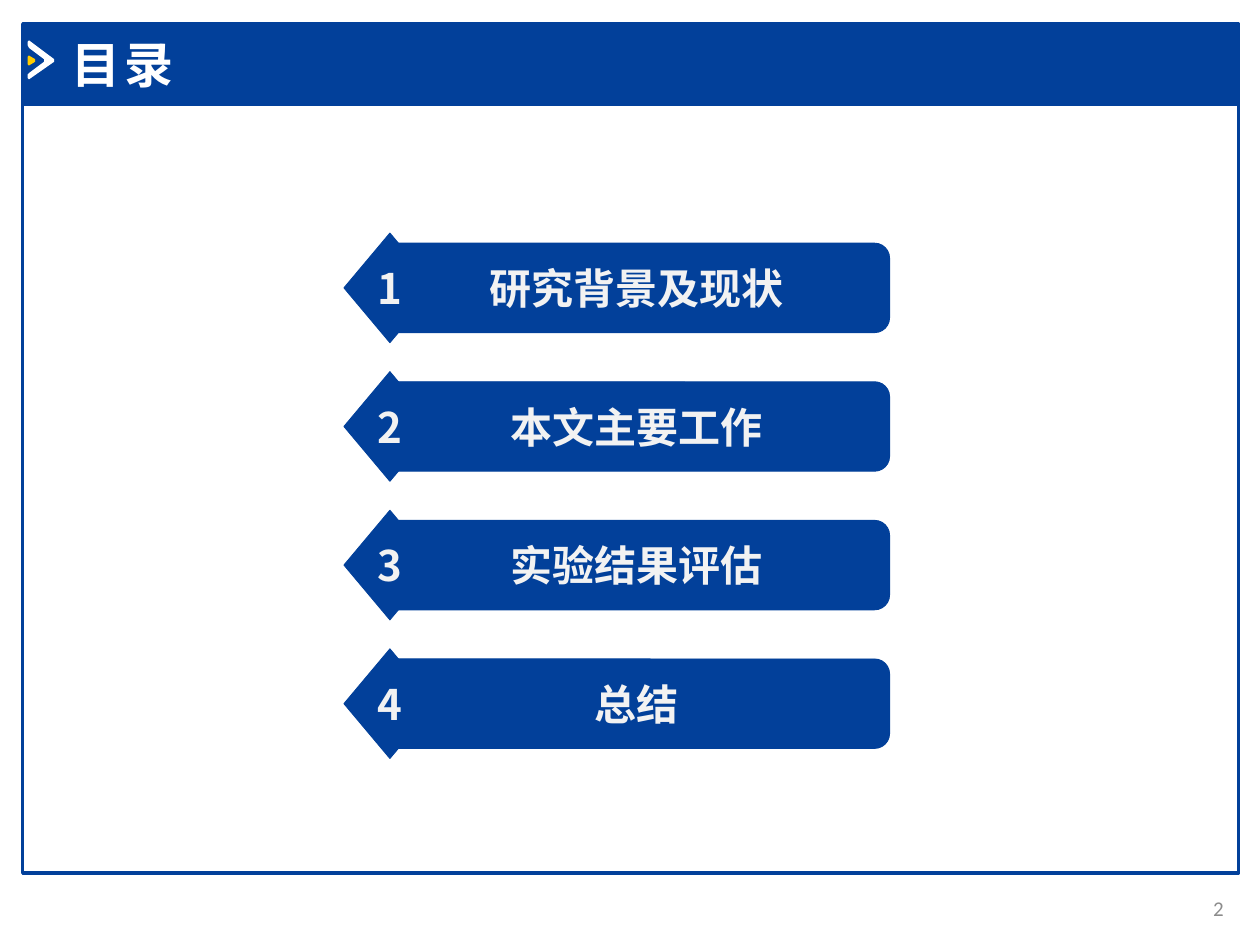
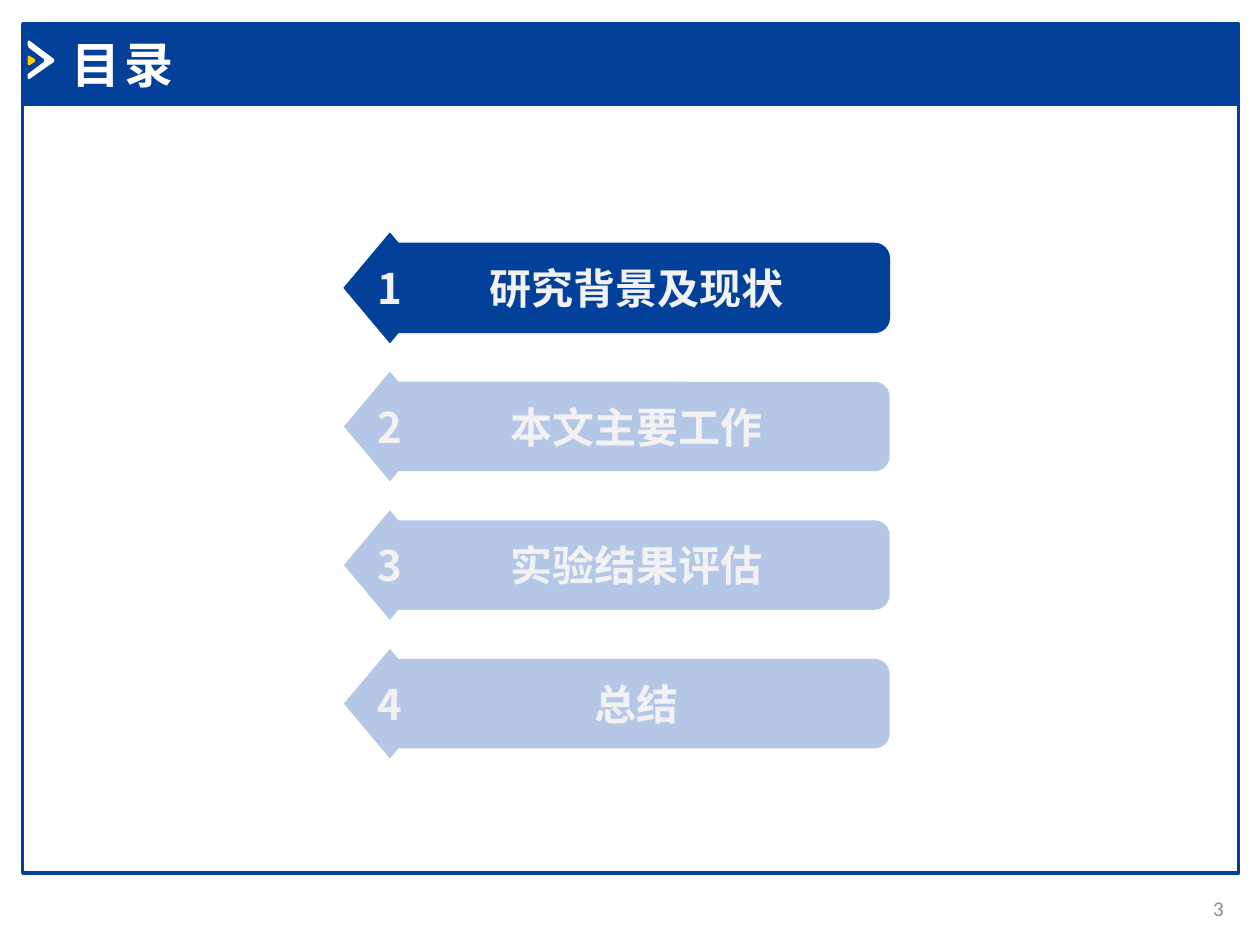
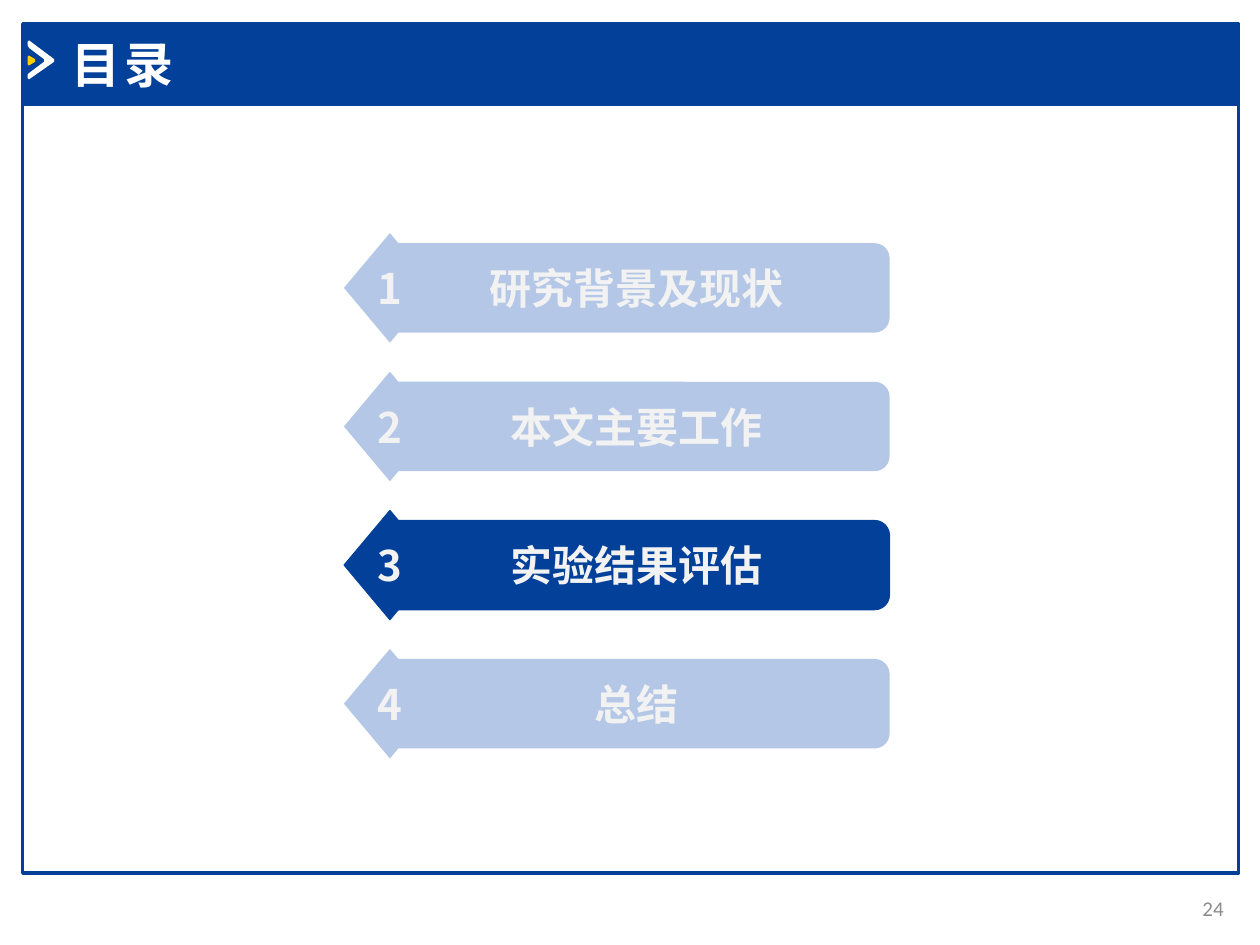
from lxml.etree import SubElement
from pptx import Presentation
from pptx.dml.color import RGBColor
from pptx.enum.shapes import MSO_SHAPE as Shape
from pptx.enum.text import MSO_ANCHOR as Anchor, MSO_AUTO_SIZE as AutoSize, PP_ALIGN as Align
from pptx.oxml.ns import qn
from pptx.util import Inches, Pt

BLUE = RGBColor(0x02, 0x40, 0x9A)
PALE_BLUE = RGBColor(0xB4, 0xC7, 0xE7)
YELLOW = RGBColor(0xFF, 0xCC, 0x00)
WHITE = RGBColor(0xFF, 0xFF, 0xFF)
OFF_WHITE = RGBColor(0xF2, 0xF2, 0xF2)
GREY = RGBColor(0x8C, 0x8C, 0x8C)

LATIN_FONT = "Calibri"
CHINESE_FONT = "Noto Sans CJK SC"

TOPICS = ["研究背景及现状", "本文主要工作", "实验结果评估", "总结"]
AGENDA_PAGES = [("2", {1, 2, 3, 4}), ("3", {1}), ("24", {3})]

CHEVRON = [(0, 1), (1, 0), (21, 15), (21, 17), (1, 31), (0, 30),
           (0, 27), (1, 26), (13, 17), (13, 15), (1, 6), (0, 4)]
CHEVRON_DOT = [(0, 1), (1, 0), (6, 3), (6, 5), (1, 8), (0, 7)]


def paint(shape, fill=None, line=None, width=0.5):
    shape.shadow.inherit = False
    if fill is None:
        shape.fill.background()
    else:
        shape.fill.solid()
        shape.fill.fore_color.rgb = fill
    if line is None:
        shape.line.fill.background()
    else:
        shape.line.color.rgb = line
        shape.line.width = Pt(width)


def write(shape, text, size, color, align, anchor=Anchor.MIDDLE, wrap=True,
          bold=False, font=LATIN_FONT, spacing=None):
    frame = shape.text_frame
    frame.word_wrap = wrap
    frame.vertical_anchor = anchor
    para = frame.paragraphs[0]
    para.alignment = align
    span = para.add_run()
    span.text = text
    span.font.size = Pt(size)
    span.font.bold = bold
    span.font.color.rgb = color
    span.font.name = font
    properties = span.font._element
    SubElement(properties, qn("a:ea")).set("typeface", CHINESE_FONT)
    if spacing:
        properties.set("spc", str(spacing * 100))


def add_outline(shapes, points, left, top, color):
    builder = shapes.build_freeform(*points[0], scale=Inches(0.01))
    builder.add_line_segments(points[1:], close=True)
    paint(builder.convert_to_shape(Inches(left), Inches(top)), color)


def add_frame(page, left, top, width, band_height, body_height):
    group = page.shapes.add_group_shape()
    for offset, height, fill in ((band_height, body_height, None), (0, band_height, BLUE)):
        panel = group.shapes.add_shape(Shape.RECTANGLE, Inches(left), Inches(top + offset),
                                       Inches(width), Inches(height))
        paint(panel, fill, BLUE, 2)
    add_outline(group.shapes, CHEVRON, left + 0.04, top + 0.13, WHITE)
    add_outline(group.shapes, CHEVRON_DOT, left + 0.04, top + 0.25, YELLOW)
    return group


def move_to_layout(group, layout):
    for number, properties in enumerate(group.element.iter(qn("p:cNvPr")), 101):
        properties.set("id", str(number))
    layout.shapes.element.insert(2, group.element)


def add_title(page, text, left, top, width, height):
    title = page.shapes.title
    title.left, title.top = Inches(left), Inches(top)
    title.width, title.height = Inches(width), Inches(height)
    write(title, text, 28, WHITE, Align.LEFT, Anchor.TOP, bold=True, spacing=2)
    title.text_frame.auto_size = AutoSize.SHAPE_TO_FIT_TEXT


def add_page_number(page, text, left, top, width, height):
    box = page.shapes.add_textbox(Inches(left), Inches(top), Inches(width), Inches(height))
    write(box, text, 12, GREY, Align.RIGHT)


def add_topic(page, number, topic, active, left, top):
    group = page.shapes.add_group_shape()
    parts = [
        (Shape.ROUNDED_RECTANGLE, 0.31, 0.08, 4.02, 0.71, topic, LATIN_FONT),
        (Shape.DIAMOND, 0, 0, 0.73, 0.87, str(number), CHINESE_FONT),
    ]
    for kind, dx, dy, width, height, text, font in parts:
        part = group.shapes.add_shape(kind, Inches(left + dx), Inches(top + dy),
                                      Inches(width), Inches(height))
        paint(part, BLUE if active else PALE_BLUE, BLUE if active else None)
        write(part, text, 24, OFF_WHITE, Align.CENTER, wrap=False, bold=True, font=font)


def add_agenda(page, active_topics, left, top, pitch):
    for number, topic in enumerate(TOPICS, 1):
        add_topic(page, number, topic, number in active_topics,
                  left, top + (number - 1) * pitch)


def main():
    deck = Presentation()
    deck.slide_width, deck.slide_height = Inches(10), Inches(7.5)
    layout = deck.slide_layouts[5]
    for index, (page_number, active_topics) in enumerate(AGENDA_PAGES):
        page = deck.slides.add_slide(layout)
        if index == 0:
            move_to_layout(add_frame(page, 0.18, 0.19, 9.65, 0.64, 6.1), layout)
        add_title(page, "目录", 0.47, 0.22, 3.56, 0.57)
        add_page_number(page, page_number, 9.22, 7.01, 0.59, 0.4)
        add_agenda(page, active_topics, 2.73, 1.85, 1.1)
    deck.save("out.pptx")


if __name__ == "__main__":
    main()
